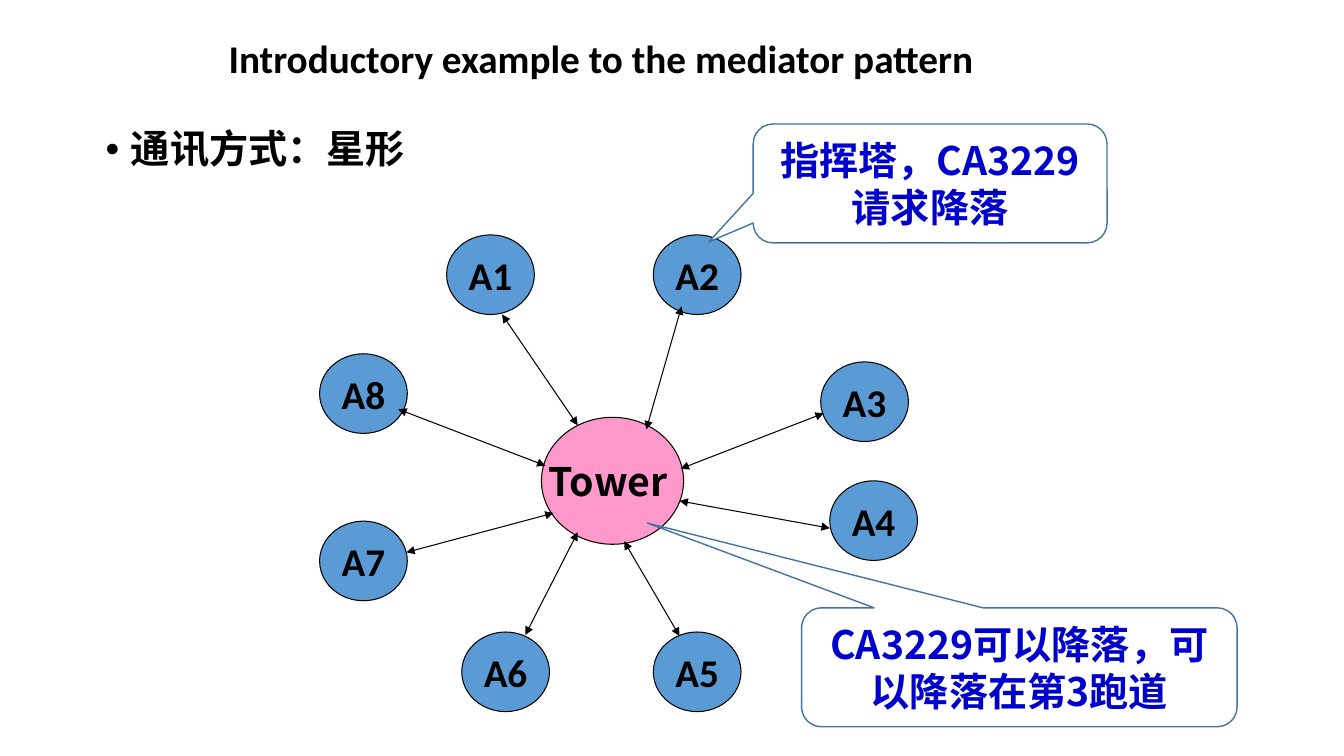
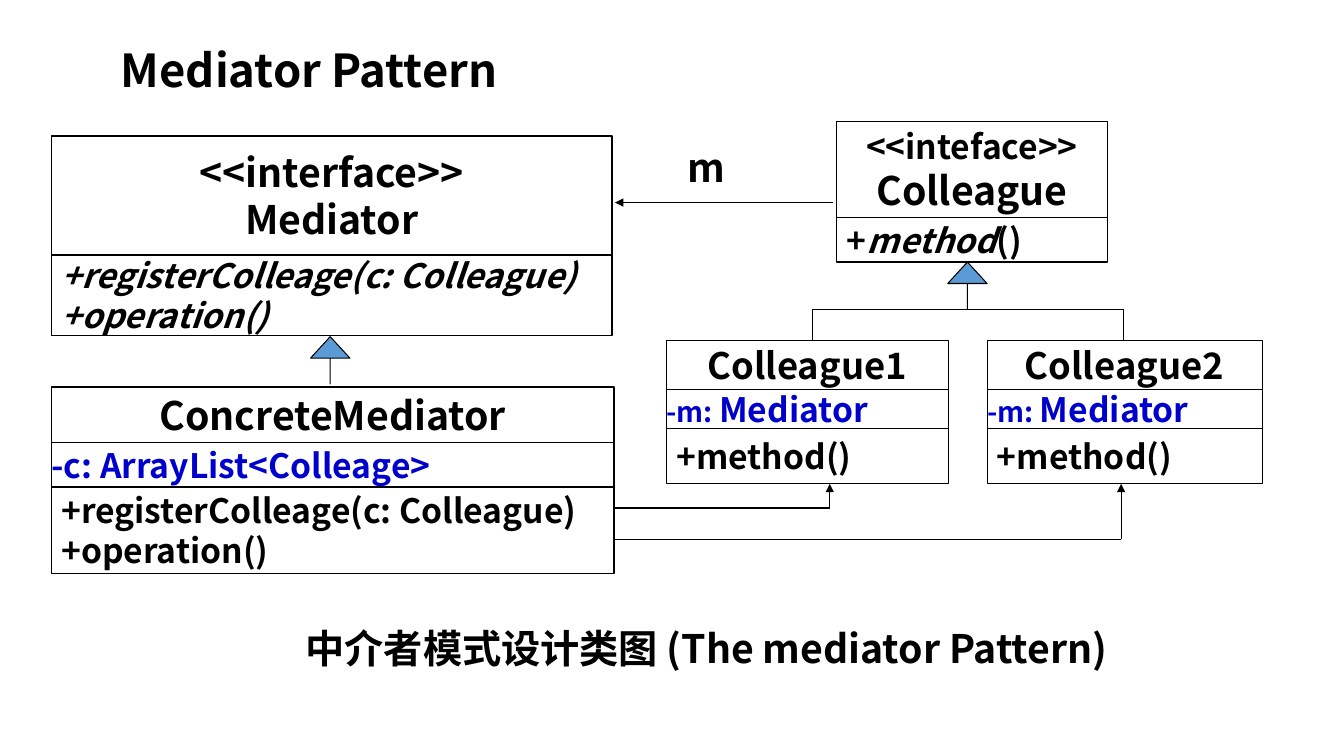
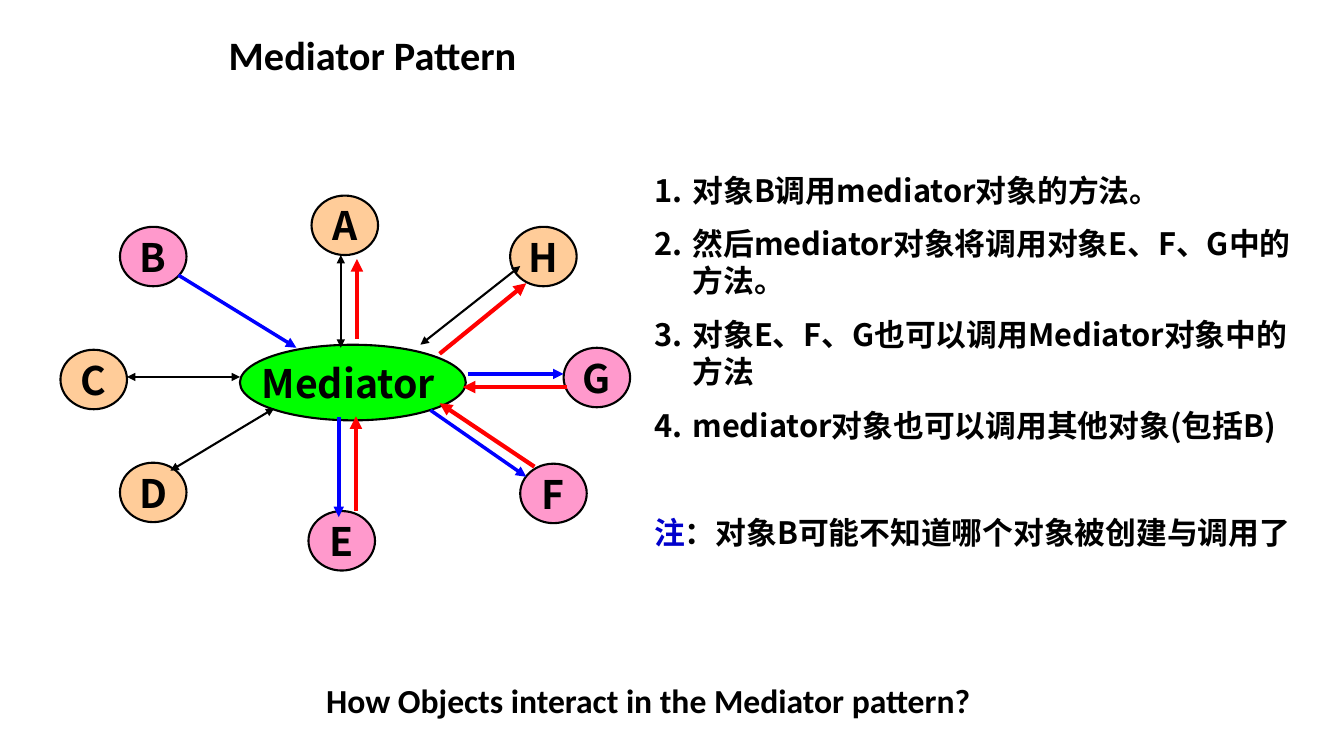
from dataclasses import dataclass
from itertools import pairwise
from typing import NamedTuple

from lxml import etree
from pptx import Presentation
from pptx.dml.color import RGBColor
from pptx.enum import shapes, text
from pptx.oxml import ns
from pptx.util import Inches, Pt

BLACK = RGBColor(0x00, 0x00, 0x00)
WHITE = RGBColor(0xFF, 0xFF, 0xFF)
NAVY = RGBColor(0x00, 0x00, 0xCC)
BLUE = RGBColor(0x00, 0x00, 0xFF)
RED = RGBColor(0xFF, 0x00, 0x00)
SKY = RGBColor(0x5B, 0x9B, 0xD5)
STEEL = RGBColor(0x43, 0x73, 0x9E)
PINK = RGBColor(0xFF, 0x99, 0xCC)
PEACH = RGBColor(0xFF, 0xCC, 0x99)
GREEN = RGBColor(0x00, 0xFF, 0x00)
LATIN = "Calibri"
HAN = "Noto Sans CJK SC"
LEFT, CENTER = text.PP_ALIGN.LEFT, text.PP_ALIGN.CENTER
TOP, MIDDLE = text.MSO_ANCHOR.TOP, text.MSO_ANCHOR.MIDDLE
KIND = shapes.MSO_SHAPE


class Run(NamedTuple):
    text: str
    size: float | None = None
    ink: RGBColor | None = None
    slant: bool | None = None


@dataclass
class Line:
    """One paragraph; runs override its font where they differ."""
    runs: str | list[Run]
    size: float = 28
    ink: RGBColor = BLACK
    font: str = HAN
    align: text.PP_ALIGN = LEFT
    slant: bool = False
    pitch: float | None = None
    before: float = 0
    after: float = 0
    hang: float = 0
    mark: str = ""


class Box(NamedTuple):
    left: float
    top: float
    width: float
    height: float

    def place(self) -> list[int]:
        return [Inches(side) for side in self]


class Part(NamedTuple):
    """One compartment of a class box."""
    height: float
    lines: list[Line]
    inset: float = 0.1


class Node(NamedTuple):
    name: str
    left: float
    top: float
    fill: RGBColor


def style(para, line: Line) -> None:
    para.alignment = line.align
    if line.pitch:
        para.line_spacing = line.pitch
    if line.before:
        para.space_before = Pt(line.before)
    if line.after:
        para.space_after = Pt(line.after)
    props = para._p.get_or_add_pPr()
    if line.hang:
        props.set("marL", str(Inches(line.hang)))
        props.set("indent", str(-Inches(line.hang)))
    if line.mark == "1.":
        etree.SubElement(props, ns.qn("a:buAutoNum"), type="arabicPeriod")
    elif line.mark:
        etree.SubElement(props, ns.qn("a:buFont"), typeface="Arial")
        etree.SubElement(props, ns.qn("a:buChar"), char=line.mark)
    font = para.font
    font.size, font.bold, font.italic = Pt(line.size), True, line.slant
    font.color.rgb, font.name = line.ink, line.font
    etree.SubElement(props.find(ns.qn("a:defRPr")), ns.qn("a:ea"), typeface=line.font)


def write(frame, lines: list[Line], anchor=TOP, wrap: bool = True, inset: float = 0.1) -> None:
    frame.word_wrap = wrap
    frame.vertical_anchor = anchor
    frame.margin_left = Inches(inset)
    for i, line in enumerate(lines):
        para = frame.add_paragraph() if i else frame.paragraphs[0]
        style(para, line)
        runs = [Run(line.runs)] if isinstance(line.runs, str) else line.runs
        for part in runs:
            run = para.add_run()
            run.text = part.text
            if part.size:
                run.font.size = Pt(part.size)
            if part.ink is not None:
                run.font.color.rgb = part.ink
            if part.slant is not None:
                run.font.italic = part.slant


def label(slide, box: Box, lines: list[Line], anchor=TOP) -> None:
    write(slide.shapes.add_textbox(*box.place()).text_frame, lines, anchor)


def title(slide, box: Box, words: str, size: float, font: str = LATIN) -> None:
    label(slide, box, [Line(words, size, font=font, pitch=0.9)], MIDDLE)


def draw(slide, kind, box: Box, fill: RGBColor, edge: RGBColor = BLACK,
         weight: float = 0.75, adjust: tuple[float, ...] = ()):
    shape = slide.shapes.add_shape(kind, *box.place())
    shape.shadow.inherit = False
    shape.fill.solid()
    shape.fill.fore_color.rgb = fill
    shape.line.color.rgb = edge
    shape.line.width = Pt(weight)
    for i, value in enumerate(adjust):
        shape.adjustments[i] = value
    return shape


def disc(slide, box: Box, name: str, fill: RGBColor, weight: float, font: str = HAN) -> None:
    shape = draw(slide, KIND.OVAL, box, fill, weight=weight)
    write(shape.text_frame, [Line(name, font=font, align=CENTER)], MIDDLE, wrap=False)


def bubble(slide, box: Box, words: str, tip: tuple[float, float]) -> None:
    shape = draw(slide, KIND.ROUNDED_RECTANGULAR_CALLOUT, box, WHITE, STEEL, 1, (*tip, 0.167))
    write(shape.text_frame, [Line(words, ink=NAVY, align=CENTER)], MIDDLE)


def wire(slide, ends: tuple[float, ...], ink: RGBColor = BLACK, weight: float = 0.75,
         heads: tuple[str, ...] = ()) -> None:
    link = slide.shapes.add_connector(shapes.MSO_CONNECTOR.STRAIGHT, *map(Inches, ends))
    link.line.color.rgb = ink
    link.line.width = Pt(weight)
    line = link.line._get_or_add_ln()
    for head in heads:
        etree.SubElement(line, ns.qn(f"a:{head}"), type="triangle")
    etree.SubElement(link._element.spPr, ns.qn("a:effectLst"))


BOTH = ("headEnd", "tailEnd")
END = ("tailEnd",)


def route(slide, points: list[tuple[float, float]], heads: tuple[str, ...] = ()) -> None:
    """Joins points by straight lines; heads go on the last one."""
    legs = list(pairwise(points))
    for i, (start, stop) in enumerate(legs, 1):
        wire(slide, (*start, *stop), heads=heads if i == len(legs) else ())


def stack(slide, left: float, top: float, width: float, parts: list[Part],
          weight: float = 0.75) -> None:
    """Draws a class box, compartment under compartment."""
    for part in parts:
        shape = draw(slide, KIND.RECTANGLE, Box(left, top, width, part.height), WHITE, weight=weight)
        write(shape.text_frame, part.lines, MIDDLE, wrap=False, inset=part.inset)
        top += part.height


def tower(slide) -> None:
    label(slide, Box(0.95, 1.24, 3.4, 0.66),
          [Line("通讯方式：星形", pitch=0.9, hang=0.25, mark="•")])
    planes = [(4.43, 2.33), (6.48, 2.33), (8.14, 3.59), (8.23, 4.77),
              (6.48, 6.27), (4.58, 6.27), (3.17, 5.17), (3.17, 3.51)]
    for i, spot in enumerate(planes, 1):
        disc(slide, Box(*spot, 0.87, 0.79), f"A{i}", SKY, 0.75, LATIN)
    disc(slide, Box(5.37, 4.14, 1.41, 1.26), "Tower ", PINK, 0.75)
    for ends in [(4.98, 3.12, 5.73, 4.22), (6.76, 3.04, 6.41, 4.26),
                 (8.17, 4.1, 6.75, 4.65), (6.74, 4.97, 8.23, 5.24),
                 (6.19, 5.37, 6.74, 6.31), (5.73, 5.28, 5.21, 6.3),
                 (5.49, 5.09, 4.03, 5.48), (5.41, 4.62, 3.95, 4.06)]:
        wire(slide, ends, heads=BOTH)
    title(slide, Box(2.17, 0.3, 9, 0.61), "Introductory example to the mediator pattern", 28)
    bubble(slide, Box(7.47, 1.23, 3.51, 1.18), "指挥塔，CA3229请求降落", (-0.625, 0.491))
    bubble(slide, Box(7.95, 6.03, 4.32, 1.18), "CA3229可以降落，可以降落在第3跑道", (-0.854, -1.213))


def classes(slide) -> None:
    title(slide, Box(1.1, 0.45, 4.53, 0.54), "Mediator Pattern", 32.4, HAN)
    calls = ["+registerColleage(c: Colleague)", "+operation()"]
    stack(slide, 0.51, 1.35, 5.56, [
        Part(1.18, [Line(words, align=CENTER) for words in ("<<interface>>", "Mediator")]),
        Part(0.8, [Line(call, 24, slant=True) for call in calls])], 1)
    stack(slide, 0.51, 3.84, 5.58, [
        Part(0.55, [Line("ConcreteMediator", align=CENTER)]),
        Part(0.44, [Line("-c: ArrayList<Colleage>", 24, NAVY)], 0),
        Part(0.86, [Line(call, 24) for call in calls])], 1)
    stack(slide, 8.3, 1.21, 2.68, [
        Part(0.95, [Line("<<inteface>>", 24, align=CENTER), Line("Colleague", align=CENTER)]),
        Part(0.44, [Line([Run("+"), Run("method", slant=True), Run("()")], 24)])])
    for name, left, width in [("Colleague1", 6.61, 2.8), ("Colleague2", 9.79, 2.73)]:
        stack(slide, left, 3.38, width, [
            Part(0.48, [Line(name, 26, align=CENTER)]),
            Part(0.39, [Line([Run("-m: ", 20), Run("Mediator")], 24, NAVY)], 0),
            Part(0.55, [Line("+method()", 24)])])
    for left, top in [(9.4, 2.6), (3.08, 3.34)]:
        draw(slide, KIND.UP_ARROW, Box(left, top, 0.39, 0.47), SKY, adjust=(0, 0.546))
    route(slide, [(8.06, 3.38), (8.06, 3.07), (11.14, 3.07), (11.14, 3.38)])
    route(slide, [(8.26, 2.01), (6.1, 2.01)], END)
    route(slide, [(6.09, 5.04), (8.23, 5.04), (8.23, 4.8)], END)
    route(slide, [(6.09, 5.35), (11.12, 5.35), (11.12, 4.8)], END)
    label(slide, Box(6.61, 1.37, 0.79, 0.57), [Line("m", align=CENTER)])
    label(slide, Box(2.43, 6.14, 9.15, 0.57),
          [Line("中介者模式设计类图 (The mediator Pattern)", align=CENTER)])


def calls(slide) -> None:
    title(slide, Box(2.17, 0.3, 4.11, 0.54), "Mediator Pattern", 28.8)
    label(slide, Box(2.49, 6.7, 7.88, 0.5),
          [Line("How Objects interact in the Mediator pattern?", 24, font=LATIN, align=CENTER)])
    for node in [Node("A", 3.09, 1.94, PEACH), Node("B", 1.19, 2.25, PINK),
                 Node("C", 0.6, 3.47, PEACH), Node("D", 1.19, 4.59, PEACH),
                 Node("E", 3.06, 5.07, PINK), Node("F", 5.16, 4.6, PINK),
                 Node("G", 5.59, 3.45, PINK), Node("H", 5.06, 2.25, PEACH)]:
        disc(slide, Box(node.left, node.top, 0.66, 0.59), node.name, node.fill, 1.5)
    disc(slide, Box(2.38, 3.42, 2.24, 0.75), "Mediator ", GREEN, 1.5)
    idle = [(3.38, 2.53, 3.38, 3.45), (1.26, 3.74, 2.38, 3.74),
            (1.69, 4.67, 2.72, 4.05), (5.16, 2.64, 4.17, 3.42)]
    first = [(1.77, 2.73, 2.94, 3.45), (3.36, 4.14, 3.36, 5.13),
             (4.27, 4.07, 5.22, 4.73), (4.64, 3.71, 5.59, 3.71)]
    reply = [(3.53, 5.07, 3.53, 4.13), (5.3, 4.63, 4.36, 4), (5.62, 3.84, 4.59, 3.84),
             (3.54, 3.36, 3.54, 2.57), (4.36, 3.51, 5.22, 2.81)]
    for group, ink, weight, heads in [(idle, BLACK, 1.5, BOTH), (first, BLUE, 2.5, END),
                                      (reply, RED, 3, END)]:
        for ends in group:
            wire(slide, ends, ink, weight, heads)
    steps = ["对象B调用mediator对象的方法。",
             "然后mediator对象将调用对象E、F、G中的方法。",
             "对象E、F、G也可以调用Mediator对象中的方法",
             "mediator对象也可以调用其他对象(包括B)"]
    lines = [Line(step, 22, before=6 if i else 0, after=6, hang=0.38, mark="1.")
             for i, step in enumerate(steps)]
    note = [Run("注", ink=NAVY), Run("：对象B可能不知道哪个对象被创建与调用了")]
    lines.append(Line(note, 22, before=44, hang=0.38))
    label(slide, Box(6.39, 1.65, 6.65, 3.9), lines)


def main() -> None:
    deck = Presentation()
    deck.slide_width, deck.slide_height = Inches(13.33), Inches(7.5)
    for build in (tower, classes, calls):
        build(deck.slides.add_slide(deck.slide_layouts[6]))
    deck.save("out.pptx")


if __name__ == "__main__":
    main()
